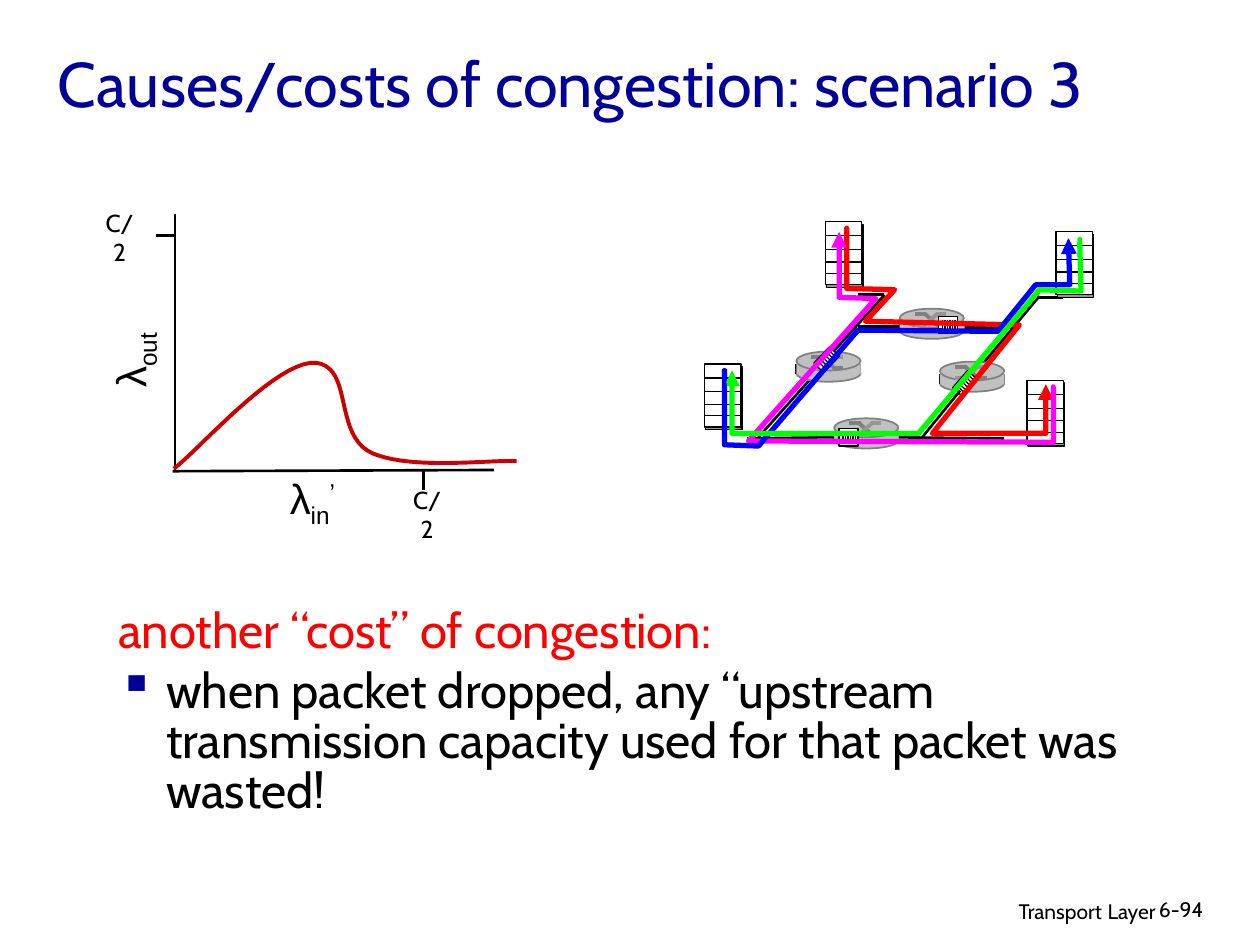
from dataclasses import dataclass
import lxml.etree
import pptx
import pptx.dml.color
import pptx.enum.shapes
import pptx.enum.text
import pptx.oxml.ns
import pptx.util

RGB = pptx.dml.color.RGBColor
SHAPE = pptx.enum.shapes.MSO_SHAPE
ALIGN = pptx.enum.text.PP_ALIGN
ANCHOR = pptx.enum.text.MSO_ANCHOR
qn = pptx.oxml.ns.qn
Pt = pptx.util.Pt

PX = 9144  # EMU per px, 100 px to the inch

BLACK, WHITE = RGB(0, 0, 0), RGB(255, 255, 255)
NAVY, CRIMSON = RGB(0, 0, 0x99), RGB(0xCC, 0, 0)
RED, BLUE, GREEN = RGB(255, 0, 0), RGB(0, 0, 255), RGB(0, 255, 0)
MAGENTA = RGB(255, 0, 255)
SILVER, GRAY, MID_GRAY = RGB(0xC0, 0xC0, 0xC0), RGB(0x80, 0x80, 0x80), RGB(0x96, 0x96, 0x96)


@dataclass
class Piece:
    """One run of text."""
    text: str
    size: int
    color: RGB = BLACK
    font: str = "Cabin"
    baseline: int = 0


@dataclass
class Router:
    left: int
    top: int
    buffer: tuple[int, int]
    tilt: float = 0


@dataclass
class Flow:
    color: RGB
    points: list[tuple[int, int]]
    arrow: str = "tailEnd"


def draw_shape(shapes, kind, left, top, width, height, fill: RGB, line: RGB | None = None,
               weight: float = 0.75, tilt: float = 0) -> None:
    shape = shapes.add_shape(kind, left * PX, top * PX, width * PX, height * PX)
    shape.shadow.inherit = False
    shape.rotation = tilt
    shape.fill.solid()
    shape.fill.fore_color.rgb = fill
    if line is None:
        shape.line.fill.background()
    else:
        shape.line.color.rgb = line
        shape.line.width = Pt(weight)


def draw_line(shapes, x1, y1, x2, y2, color: RGB = BLACK, weight: float = 1.5) -> None:
    ends = [round(value * PX) for value in (x1, y1, x2, y2)]
    line = shapes.add_connector(pptx.enum.shapes.MSO_CONNECTOR.STRAIGHT, *ends)
    line.line.color.rgb = color
    line.line.width = Pt(weight)
    lxml.etree.SubElement(line._element.spPr, qn("a:effectLst"))


def draw_path(shapes, points, color: RGB, weight: float, arrow: str = "") -> None:
    corners = [(round(x * PX), round(y * PX)) for x, y in points]
    builder = shapes.build_freeform(*corners[0], scale=1.0)
    builder.add_line_segments(corners[1:], close=False)
    path = builder.convert_to_shape()
    path.shadow.inherit = False
    path.fill.background()
    path.line.color.rgb = color
    path.line.width = Pt(weight)
    if arrow:
        outline = path._element.spPr.find(qn("a:ln"))
        lxml.etree.SubElement(outline, qn("a:" + arrow), type="triangle")


def draw_host(page, left: int, top: int) -> None:
    shapes = page.shapes.add_group_shape().shapes
    draw_shape(shapes, SHAPE.RECTANGLE, left + 1, top + 2, 29, 50, MID_GRAY, BLACK)
    draw_shape(shapes, SHAPE.RECTANGLE, left, top, 29, 50, WHITE, BLACK)
    for row in (11, 22, 32, 41):
        draw_line(shapes, left, top + row, left + 29, top + row, BLACK, 0.75)


def draw_router(page, router: Router) -> None:
    shapes = page.shapes.add_group_shape().shapes
    x, y = router.left, router.top
    # Body
    draw_shape(shapes, SHAPE.OVAL, x, y + 11, 51, 13, SILVER, GRAY, 1)
    draw_line(shapes, x, y + 10, x, y + 18, BLACK, 1)
    draw_line(shapes, x + 51, y + 10, x + 51, y + 18, GRAY, 1)
    draw_shape(shapes, SHAPE.RECTANGLE, x, y + 10, 12, 8, SILVER)
    draw_shape(shapes, SHAPE.RECTANGLE, x + 36, y + 10, 15, 8, SILVER)
    draw_shape(shapes, SHAPE.OVAL, x, y, 51, 15, SILVER, GRAY, 1)
    # Crossing arms
    for color, start, end in ((GRAY, 4, 13), (MID_GRAY, 13, 4)):
        for x1, y1, x2, y2 in ((12, start, 21, start), (29, end, 37, end), (20, start, 30, end)):
            draw_line(shapes, x + x1, y + y1, x + x2, y + y2, color, 2.25)
    # Packet buffer
    left, top = router.buffer
    width, height = (18, 11) if router.tilt else (15, 14)
    draw_shape(shapes, SHAPE.RECTANGLE, left, top, width, height, WHITE, BLACK, tilt=router.tilt)
    for slot in range(6):
        if router.tilt:
            x1, y1 = left + 7.5 + 1.7 * slot, top + 12 - 1.8 * slot
            draw_line(shapes, x1, y1, x1 - 5, y1 - 5, BLACK, 0.75)
        else:
            x1 = left + 3 + 2 * slot
            draw_line(shapes, x1, top + 3, x1, top + 11, BLACK, 0.75)


def draw_dots(page, left: int, top: int, color: RGB) -> None:
    for dot_top in (top, top + 11):
        draw_shape(page.shapes, SHAPE.OVAL, left, dot_top, 4, 5, color)


def add_runs(para, pieces: list[Piece]) -> None:
    for piece in pieces:
        run = para.add_run()
        run.text = piece.text
        run.font.size = Pt(piece.size)
        run.font.name = piece.font
        run.font.color.rgb = piece.color
        if piece.baseline:
            run._r.get_or_add_rPr().set("baseline", str(piece.baseline * 1000))


def draw_text(page, left, top, width, height, pieces: list[Piece], align=ALIGN.LEFT,
              wrap: bool = True, tilt: float = 0):
    box = page.shapes.add_textbox(left * PX, top * PX, width * PX, height * PX)
    box.rotation = tilt
    box.text_frame.word_wrap = wrap
    para = box.text_frame.paragraphs[0]
    para.alignment = align
    add_runs(para, pieces)
    return box.text_frame


def bezier(points, steps: int = 20) -> list[tuple[float, float]]:
    """Sample joined cubic curves: a start, then three points for each curve."""
    result = [points[0]]
    for first in range(0, len(points) - 1, 3):
        controls = points[first:first + 4]
        for step in range(1, steps + 1):
            t = step / steps
            weights = ((1 - t) ** 3, 3 * t * (1 - t) ** 2, 3 * t * t * (1 - t), t ** 3)
            result.append(tuple(sum(w * c[axis] for w, c in zip(weights, controls))
                                for axis in (0, 1)))
    return result


BACK_LINKS = [(702, 234, 657, 284), (702, 234, 681, 234), (662, 347, 593, 348),
              (715, 259, 681, 259), (803, 260, 766, 260), (825, 235, 763, 309),
              (844, 236, 823, 236)]
FRONT_LINKS = [(797, 348, 702, 347), (762, 310, 732, 347)]
HOSTS = [(655, 176), (559, 289), (838, 184), (815, 302)]
BACK_ROUTERS = [Router(714, 245, (745, 251)), Router(746, 287, (757, 299), 130.7)]
FRONT_ROUTERS = [Router(662, 332, (666, 340)), Router(632, 279, (647, 280), 133.8)]
RED_FLOW = Flow(RED, [(672, 181), (672, 229), (710, 230), (687, 255), (809, 258), (740, 344),
                      (830, 344), (830, 305)])
FRONT_FLOWS = [
    Flow(MAGENTA, [(836, 308), (836, 351), (594, 350), (695, 237), (666, 236), (666, 184)]),
    Flow(BLUE, [(575, 293), (575, 353), (602, 354), (681, 262), (792, 263), (822, 226),
                (849, 226), (848, 189)]),
    Flow(GREEN, [(581, 294), (581, 344), (729, 344), (825, 230), (858, 231), (857, 192)],
         "headEnd"),
]
AXES = [(139, 170, 139, 374), (137, 374, 392, 373), (124, 187, 138, 187), (336, 374, 336, 389)]
THROUGHPUT = [(138, 372), (157, 358), (220, 285), (251, 288), (281, 292), (264, 346),
              (296, 360), (328, 373), (386, 365), (410, 366)]


def main() -> None:
    deck = pptx.Presentation()
    deck.slide_width, deck.slide_height = 1000 * PX, 750 * PX
    page = deck.slides.add_slide(deck.slide_layouts[5])

    # Title
    title = page.shapes.title
    title.left, title.top, title.width, title.height = (v * PX for v in (36, 13, 850, 95))
    title.text_frame.auto_size = pptx.enum.text.MSO_AUTO_SIZE.NONE
    title.text_frame.vertical_anchor = ANCHOR.MIDDLE
    title_para = title.text_frame.paragraphs[0]
    title_para.alignment = ALIGN.LEFT
    add_runs(title_para, [Piece("Causes/costs of congestion: scenario 3", 36, NAVY),
                          Piece(" ", 44, NAVY)])

    # Message
    body = draw_text(page, 84, 478, 851, 108, [Piece("another “cost” of congestion:", 28, RED)])
    bullet = body.add_paragraph()
    for para in body.paragraphs:
        para.line_spacing = 0.85
        para._p.get_or_add_pPr().set("marL", str(38 * PX))
        para._p.get_or_add_pPr().set("indent", str(-38 * PX))
    bullet.space_before = Pt(5.6)
    properties = bullet._p.get_or_add_pPr()
    bullet_color = lxml.etree.SubElement(properties, qn("a:buClr"))
    lxml.etree.SubElement(bullet_color, qn("a:srgbClr"), val=str(NAVY))
    lxml.etree.SubElement(properties, qn("a:buChar"), char="▪")
    add_runs(bullet, [Piece("when packet dropped, any “upstream transmission capacity used "
                            "for that packet was wasted!", 28)])

    # Network, from back to front
    for link in BACK_LINKS:
        draw_line(page.shapes, *link)
    for host in HOSTS:
        draw_host(page, *host)
    for router in BACK_ROUTERS:
        draw_router(page, router)
    for link in FRONT_LINKS:
        draw_line(page.shapes, *link)
    draw_dots(page, 670, 179, RED)
    draw_path(page.shapes, RED_FLOW.points, RED_FLOW.color, 3, RED_FLOW.arrow)
    draw_line(page.shapes, 643, 301, 602, 347)
    for router in FRONT_ROUTERS:
        draw_router(page, router)
    for flow in FRONT_FLOWS:
        draw_path(page.shapes, flow.points, flow.color, 3, flow.arrow)
    for left, top, color in ((573, 292, BLUE), (834, 305, MAGENTA), (855, 188, GREEN)):
        draw_dots(page, left, top, color)

    # Throughput graph
    for axis in AXES:
        draw_line(page.shapes, *axis)
    draw_path(page.shapes, bezier(THROUGHPUT), CRIMSON, 2.25)
    for left, top in ((70, 160), (314, 380)):
        draw_text(page, left, top, 50, 33, [Piece("C/2", 14)], ALIGN.CENTER)
    rate = Piece("λ", 24, font="Arial")
    draw_text(page, 59, 261, 88, 50, [rate, Piece("out", 24, font="Arial", baseline=-25)],
              ALIGN.CENTER, tilt=270)
    draw_text(page, 218, 370, 60, 50, [rate, Piece("in", 24, font="Arial", baseline=-25),
                                       Piece("’", 24, font="Arial", baseline=30)],
              ALIGN.CENTER, wrap=False)

    # Footer
    draw_text(page, 610, 705, 317, 31, [Piece("Transport", 12), Piece(" ", 14),
                                        Piece("Layer", 12)], ALIGN.RIGHT)
    draw_text(page, 910, 707, 74, 30, [Piece("6-94", 12)])
    deck.save("out.pptx")


if __name__ == "__main__":
    main()
